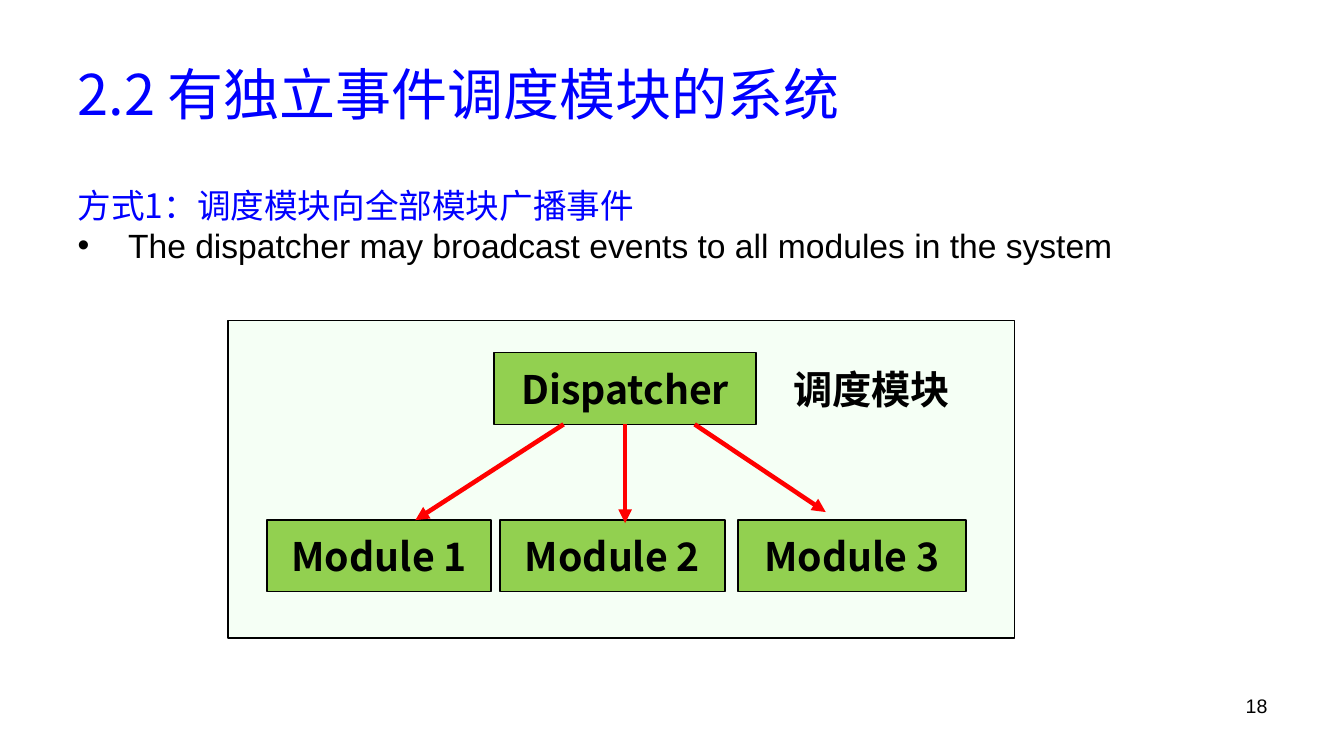
"""Build the slide on a system whose dispatcher broadcasts events to all modules."""
from dataclasses import dataclass
from typing import Any

from lxml import etree
from pptx import Presentation
from pptx import util as u
from pptx.dml.color import RGBColor
from pptx.enum import shapes, text
from pptx.oxml import ns


@dataclass(frozen=True)
class Theme:
    blue: str = "0000FF"
    black: str = "000000"
    red: str = "FF0000"
    green: str = "92D050"
    mint: str = "CCFFCC"
    mint_alpha: int = 19
    cjk: str = "Noto Sans CJK SC"
    latin: str = "Arial"
    title_size: int = 40
    box_size: int = 28
    body_size: int = 24
    number_size: int = 14
    outline: float = 1
    arrow: float = 3.25


@dataclass(frozen=True)
class Box:
    left: float
    top: float
    width: float
    height: float
    label: str = ""


@dataclass(frozen=True)
class Arrow:
    x1: float
    y1: float
    x2: float
    y2: float


THEME = Theme()
MODULE_TOP, BOX_HEIGHT = 5.16, 0.71
SYSTEM = Box(2.26, 3.18, 7.8, 3.15)
DISPATCHER = Box(4.9, 3.5, 2.6, BOX_HEIGHT, "Dispatcher")
MODULES = [
    Box(left, MODULE_TOP, width, BOX_HEIGHT, f"Module {number}")
    for number, (left, width) in enumerate([(2.65, 2.22), (4.96, 2.23), (7.32, 2.26)], 1)
]
DISPATCH_Y = DISPATCHER.top + DISPATCHER.height
BROADCASTS = [
    Arrow(5.59, DISPATCH_Y, 4.12, MODULE_TOP),
    Arrow(6.2, DISPATCH_Y, 6.2, 5.19),
    Arrow(6.89, DISPATCH_Y, 8.19, 5.08),
]


def apply(target: Any, values: dict[str, Any]) -> None:
    for name, value in values.items():
        setattr(target, name, value)


def bounds(box: Box) -> tuple[u.Length, ...]:
    return tuple(u.Inches(value) for value in (box.left, box.top, box.width, box.height))


def place(placeholder: Any, box: Box) -> None:
    apply(placeholder, dict(zip(("left", "top", "width", "height"), bounds(box))))


def write(paragraph: Any, words: str, size: int, color: str, face: str, bold: bool = False,
          align: text.PP_ALIGN = text.PP_ALIGN.LEFT) -> None:
    paragraph.alignment = align
    run = paragraph.add_run()
    run.text = words
    apply(run.font, {"size": u.Pt(size), "bold": bold, "name": face})
    run.font.color.rgb = RGBColor.from_string(color)
    etree.SubElement(run.font._element, ns.qn("a:ea"), typeface=face)


def set_bullet(paragraph: Any, mark: str, indent: float) -> None:
    paragraph.space_before = u.Pt(0)
    properties = paragraph._p.get_or_add_pPr()
    apply_indent = {"marL": u.Inches(indent), "indent": -u.Inches(indent)}
    for name, value in apply_indent.items():
        properties.set(name, str(int(value)))
    if mark:
        etree.SubElement(properties, ns.qn("a:buFont"), typeface=THEME.latin)
        etree.SubElement(properties, ns.qn("a:buChar"), char=mark)
    else:
        etree.SubElement(properties, ns.qn("a:buNone"))


def add_box(slide: Any, box: Box, fill: str, alpha: int = 100) -> None:
    shape = slide.shapes.add_shape(shapes.MSO_SHAPE.RECTANGLE, *bounds(box))
    shape.shadow.inherit = False
    shape.fill.solid()
    shape.fill.fore_color.rgb = RGBColor.from_string(fill)
    if alpha < 100:
        color = shape.fill._xPr.find(".//" + ns.qn("a:srgbClr"))
        etree.SubElement(color, ns.qn("a:alpha"), val=str(alpha * 1000))
    shape.line.color.rgb = RGBColor.from_string(THEME.black)
    shape.line.width = u.Pt(THEME.outline)
    if box.label:
        frame = shape.text_frame
        apply(frame, {"word_wrap": False, "vertical_anchor": text.MSO_ANCHOR.MIDDLE})
        write(frame.paragraphs[0], box.label, THEME.box_size, THEME.black, THEME.cjk,
              True, text.PP_ALIGN.CENTER)


def add_arrow(slide: Any, arrow: Arrow) -> None:
    ends = (u.Inches(value) for value in (arrow.x1, arrow.y1, arrow.x2, arrow.y2))
    connector = slide.shapes.add_connector(shapes.MSO_CONNECTOR.STRAIGHT, *ends)
    connector.line.color.rgb = RGBColor.from_string(THEME.red)
    connector.line.width = u.Pt(THEME.arrow)
    etree.SubElement(connector.line._get_or_add_ln(), ns.qn("a:tailEnd"), type="triangle")
    etree.SubElement(connector._element.spPr, ns.qn("a:effectLst"))


def add_label(slide: Any, box: Box, size: int, face: str, bold: bool, wrap: bool,
              align: text.PP_ALIGN) -> None:
    frame = slide.shapes.add_textbox(*bounds(box)).text_frame
    frame.word_wrap = wrap
    write(frame.paragraphs[0], box.label, size, THEME.black, face, bold, align)


def main() -> None:
    deck = Presentation()
    apply(deck, {"slide_width": u.Inches(13.33), "slide_height": u.Inches(7.5)})
    slide = deck.slides.add_slide(deck.slide_layouts[1])

    heading = slide.shapes.title
    place(heading, Box(0.67, 0.3, 12, 1.25))
    heading.text_frame.vertical_anchor = text.MSO_ANCHOR.MIDDLE
    write(heading.text_frame.paragraphs[0], "2.2 有独立事件调度模块的系统",
          THEME.title_size, THEME.blue, THEME.cjk)

    broadcast_mode = slide.placeholders[1]
    place(broadcast_mode, Box(0.67, 1.78, 12, 0.91))
    frame = broadcast_mode.text_frame
    frame.auto_size = text.MSO_AUTO_SIZE.NONE
    mode, explanation = frame.paragraphs[0], frame.add_paragraph()
    set_bullet(mode, "", 0.5)
    write(mode, "方式1：调度模块向全部模块广播事件", THEME.body_size, THEME.blue, THEME.cjk)
    set_bullet(explanation, "•", 0.5)
    write(explanation, "The dispatcher may broadcast events to all modules in the system",
          THEME.body_size, THEME.black, THEME.latin)

    add_box(slide, SYSTEM, THEME.mint, THEME.mint_alpha)
    for box in (DISPATCHER, *MODULES):
        add_box(slide, box, THEME.green)
    for arrow in BROADCASTS:
        add_arrow(slide, arrow)
    add_label(slide, Box(7.77, 3.58, 1.77, 0.57, "调度模块"), THEME.box_size, THEME.cjk,
              True, False, text.PP_ALIGN.LEFT)
    add_label(slide, Box(9.56, 6.83, 3.11, 0.52, "18"), THEME.number_size, THEME.latin,
              False, True, text.PP_ALIGN.RIGHT)
    deck.save("out.pptx")


if __name__ == "__main__":
    main()
